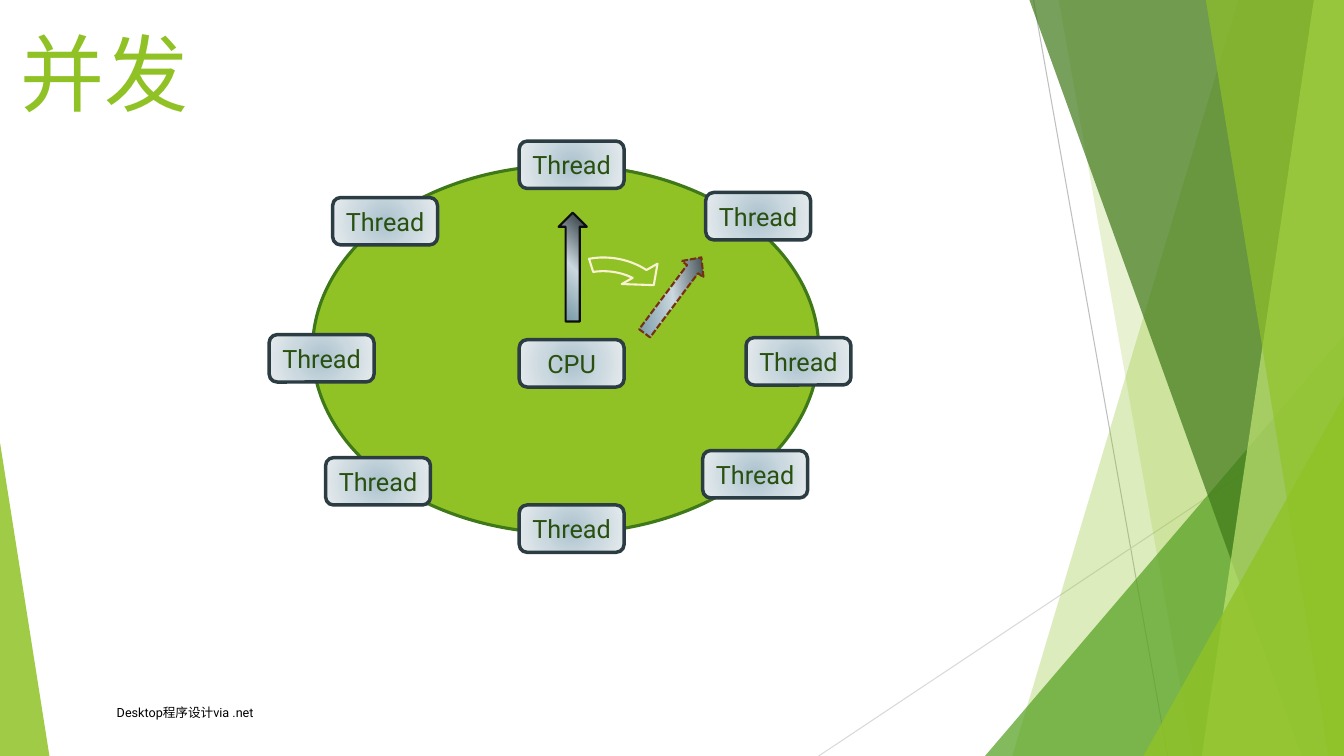
import lxml.etree
import pptx
import pptx.dml.color
import pptx.enum.dml
import pptx.enum.shapes
import pptx.enum.text
import pptx.oxml
import pptx.oxml.ns
import pptx.util

Inches = pptx.util.Inches
SHAPES = pptx.enum.shapes.MSO_SHAPE
ALIGN = pptx.enum.text.PP_ALIGN
MIDDLE = pptx.enum.text.MSO_ANCHOR.MIDDLE

LIME, FOREST = "90C226", "3F7819"
NODE_STOPS = ("ABC2CE", "CBD8DF", "E6ECEF")
ARROW_STOPS = ("6E91A0", "CBD8DF", "212D32")
FROM_CENTRE = ('<a:path path="circle">'
               '<a:fillToRect l="50000" t="50000" r="50000" b="50000"/></a:path>')
TO_TOP_RIGHT = '<a:lin ang="18900000" scaled="0"/>'
NODE_SIZE = (1.04, 0.47)


def color(hex_text):
    return pptx.dml.color.RGBColor.from_string(hex_text)


def set_fill(shape, hex_text, opacity=100):
    shape.shadow.inherit = False
    shape.fill.solid()
    shape.fill.fore_color.rgb = color(hex_text)
    if opacity < 100:
        tint = shape.fill._xPr.find(".//" + pptx.oxml.ns.qn("a:srgbClr"))
        lxml.etree.SubElement(tint, pptx.oxml.ns.qn("a:alpha"), val=str(opacity * 1000))


def set_gradient(shape, stops, direction):
    shape.shadow.inherit = False
    shape.fill.background()
    stop_xml = "".join(
        f'<a:gs pos="{index * 50000}"><a:srgbClr val="{stop}"/></a:gs>'
        for index, stop in enumerate(stops))
    gradient = pptx.oxml.parse_xml(
        f'<a:gradFill {pptx.oxml.ns.nsdecls("a")} rotWithShape="1">'
        f'<a:gsLst>{stop_xml}</a:gsLst>{direction}</a:gradFill>')
    properties = shape.fill._xPr
    properties.replace(properties.find(pptx.oxml.ns.qn("a:noFill")), gradient)


def set_line(shape, hex_text, width):
    shape.line.color.rgb = color(hex_text)
    shape.line.width = pptx.util.Pt(width)


def add_preset(page, kind, box, adjustments=()):
    shape = page.shapes.add_shape(kind, *map(Inches, box))
    for index, value in enumerate(adjustments):
        shape.adjustments[index] = value
    return shape


def write_text(shape, text, size, hex_text, align, wrap=True):
    frame = shape.text_frame
    frame.word_wrap = wrap
    frame.vertical_anchor = MIDDLE
    para = frame.paragraphs[0]
    para.text = text
    para.alignment = align
    para.font.name = "Roboto"
    para.font.size = pptx.util.Pt(size)
    para.font.color.rgb = color(hex_text)


def draw_backdrop(page, box):
    left, top, width, height = box
    right, bottom = left + width, top + height

    def hairline(start, end, hex_text):
        line = page.shapes.add_connector(
            pptx.enum.shapes.MSO_CONNECTOR.STRAIGHT, *map(Inches, start + end))
        set_line(line, hex_text, 0.75)
        lxml.etree.SubElement(line._element.spPr, pptx.oxml.ns.qn("a:effectLst"))

    def band(top_x, bottom_x, hex_text, opacity):
        # Slanted left edge, reaching to the right edge of the page
        builder = page.shapes.build_freeform(Inches(left + top_x), Inches(top))
        builder.add_line_segments(
            [(Inches(x), Inches(y)) for x, y in
             ((right, top), (right, bottom), (left + bottom_x, bottom))])
        shape = builder.convert_to_shape()
        set_fill(shape, hex_text, opacity)
        shape.line.fill.background()

    def corner(x, wide, tall, apex, hex_text, opacity):
        shape = add_preset(page, SHAPES.ISOSCELES_TRIANGLE,
                           (left + x, bottom - tall, wide, tall), [apex])
        set_fill(shape, hex_text, opacity)
        shape.line.fill.background()

    hairline((left + 10.25, top), (left + 11.58, bottom), "BFBFBF")
    hairline((right, top + 4.03), (left + 8.12, bottom), "D9D9D9")
    band(12.28, 10.04, LIME, 30)
    band(10.5, 11.83, LIME, 20)
    corner(9.77, 3.56, 4.17, 1, "54A021", 72)
    band(10.21, 12.91, FOREST, 70)
    band(13.03, 11.92, "C0E474", 70)
    band(11.96, 13.18, LIME, 65)
    corner(11.34, 1.99, 3.57, 1, LIME, 80)
    corner(0, 0.49, 3.11, 0, LIME, 85)


def place_title(page, box):
    title = page.shapes.title
    title.left, title.top, title.width, title.height = map(Inches, box)
    write_text(title, "并发", 60, LIME, ALIGN.LEFT)


def draw_scheduler(page, box):
    left, top, width, height = box

    def node(x, y, text):
        shape = add_preset(page, SHAPES.ROUNDED_RECTANGLE, (left + x, top + y, *NODE_SIZE))
        set_gradient(shape, NODE_STOPS, FROM_CENTRE)
        set_line(shape, "2C3C43", 2.5)
        write_text(shape, text, 18, "2A5010", ALIGN.CENTER, wrap=False)

    def pointer(x, y, wide, tall, hex_text, adjustments=()):
        shape = add_preset(page, SHAPES.UP_ARROW, (left + x, top + y, wide, tall), adjustments)
        set_gradient(shape, ARROW_STOPS, TO_TOP_RIGHT)
        set_line(shape, hex_text, 1.5)
        return shape

    # Ring that the threads sit on
    ring = add_preset(page, SHAPES.OVAL, box)
    set_fill(ring, LIME)
    set_line(ring, FOREST, 2.25)

    # Current and next thread pointers
    pointer(2.44, 0.47, 0.28, 1.08, "0D0D0D")
    upcoming = pointer(3.44, 0.82, 0.27, 0.94, "74330C", (0.5, 0.54))
    upcoming.rotation = 36.8
    upcoming.line.dash_style = pptx.enum.dml.MSO_LINE.SQUARE_DOT

    # Switch from one thread to the next
    switch = add_preset(page, SHAPES.CIRCULAR_ARROW, (left + 2.11, top + 0.78, 1.6, 1.36),
                        (0.1, 11.475, 183.419, 148.226, 0.15))
    switch.rotation = 5.5
    set_fill(switch, LIME)
    set_line(switch, "FAF1D2", 1.5)

    # Processor, then threads clockwise from the top
    node(2.05, 1.73, "CPU")
    for x, y in ((2.05, -0.24), (3.9, 0.27), (4.3, 1.71), (3.87, 2.83),
                 (2.05, 3.37), (0.13, 2.9), (-0.43, 1.68), (0.2, 0.32)):
        node(x, y, "Thread")


def place_footer(page, box):
    footer = page.shapes.add_textbox(*map(Inches, box))
    write_text(footer, "Desktop程序设计via .net", 9, "000000", ALIGN.LEFT)


def main():
    deck = pptx.Presentation()
    deck.slide_width, deck.slide_height = Inches(13.33), Inches(7.5)
    page = deck.slides.add_slide(deck.slide_layouts[5])
    draw_backdrop(page, (0, 0, 13.33, 7.5))
    place_title(page, (0.1, 0.14, 1.93, 1.15))
    draw_scheduler(page, (3.1, 1.64, 5.02, 3.65))
    place_footer(page, (1.06, 6.87, 1.84, 0.4))
    deck.save("out.pptx")


if __name__ == "__main__":
    main()
